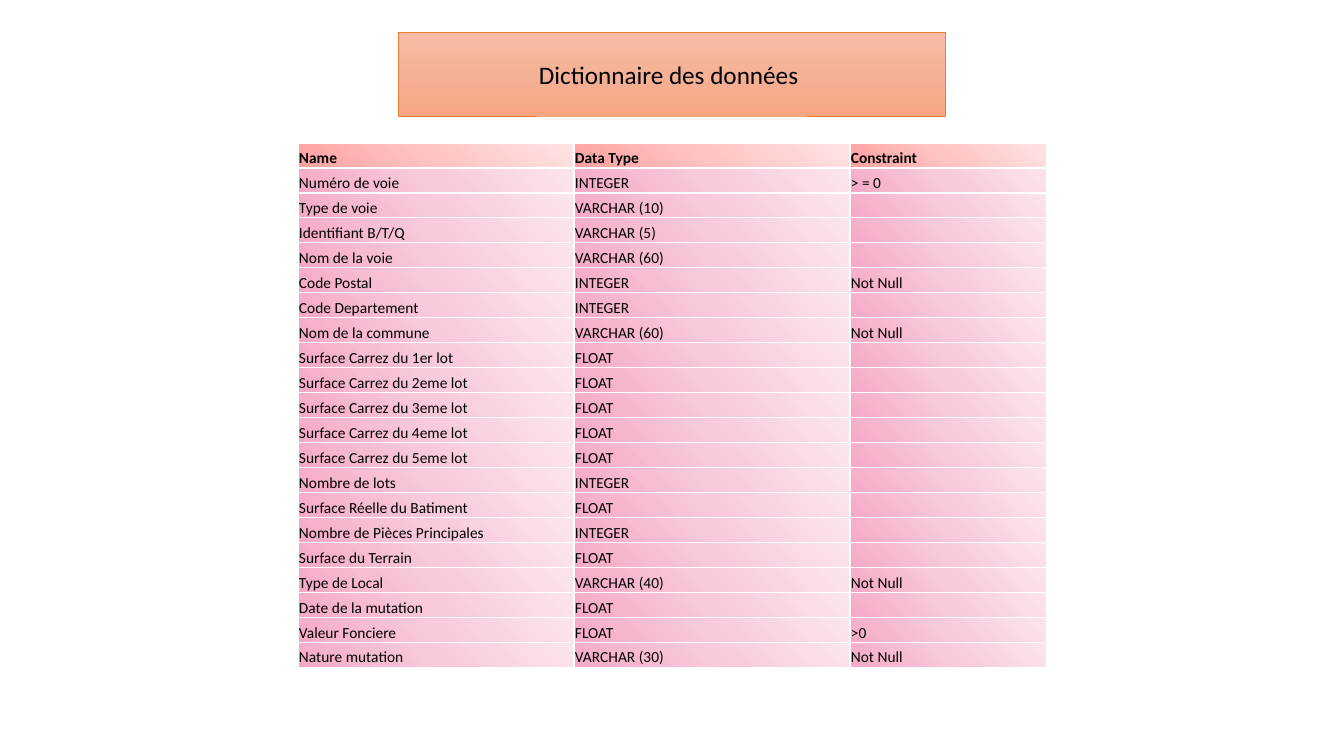
from lxml.etree import SubElement
from pptx import Presentation
from pptx.dml.color import RGBColor
from pptx.enum.text import MSO_ANCHOR, MSO_AUTO_SIZE, PP_ALIGN
from pptx.oxml.ns import qn
from pptx.util import Emu, Pt

HEAD = ("Name", "Data Type", "Constraint")
FIELDS = [
    ("Numéro de voie", "INTEGER", "> = 0"),
    ("Type de voie", "VARCHAR (10)", ""),
    ("Identifiant B/T/Q", "VARCHAR (5)", ""),
    ("Nom de la voie", "VARCHAR (60)", ""),
    ("Code Postal", "INTEGER", "Not Null"),
    ("Code Departement", "INTEGER", ""),
    ("Nom de la commune", "VARCHAR (60)", "Not Null"),
    ("Surface Carrez du 1er lot", "FLOAT", ""),
    ("Surface Carrez du 2eme lot", "FLOAT", ""),
    ("Surface Carrez du 3eme lot", "FLOAT", ""),
    ("Surface Carrez du 4eme lot", "FLOAT", ""),
    ("Surface Carrez du 5eme lot", "FLOAT", ""),
    ("Nombre de lots", "INTEGER", ""),
    ("Surface Réelle du Batiment", "FLOAT", ""),
    ("Nombre de Pièces Principales", "INTEGER", ""),
    ("Surface du Terrain", "FLOAT", ""),
    ("Type de Local", "VARCHAR (40)", "Not Null"),
    ("Date de la mutation", "FLOAT", ""),
    ("Valeur Fonciere", "FLOAT", ">0"),
    ("Nature mutation", "VARCHAR (30)", "Not Null"),
]
ORANGE = ("F7BDA5", "F5B196", "F8A582")
CORAL = ("FFA0A0", "FFC5C5", "FFE3E3")
PINK = ("F5A9C8", "F8CADC", "FBE5ED")


def px(n):
    """Turn slide pixels into EMU."""
    return Emu(round(n * 914400 / 100.8))


def color(code):
    """Turn a hex string into a colour."""
    return RGBColor.from_string(code)


class Deck:
    """Holds the style and the current slide."""

    font = "Calibri"
    ink = "000000"
    rule = "FFFFFF"

    def __init__(self):
        """Open a wide deck with one title-only slide."""
        self.prs = Presentation()
        self.prs.slide_width, self.prs.slide_height = px(1344), px(756)
        self.slide = self.prs.slides.add_slide(self.prs.slide_layouts[5])

    def blend(self, node, shades, angle):
        """Add an evenly spaced gradient fill to a properties node."""
        grad = SubElement(node, qn("a:gradFill"), rotWithShape="1")
        stops = SubElement(grad, qn("a:gsLst"))
        for i, shade in enumerate(shades):
            stop = SubElement(stops, qn("a:gs"), pos=str(i * 50000))
            SubElement(stop, qn("a:srgbClr"), val=shade)
        SubElement(grad, qn("a:lin"), ang=str(angle * 60000), scaled="0")

    def label(self, frame, text, size, bold=False):
        """Set the text of a frame and format its runs."""
        frame.text = text
        para = frame.paragraphs[0]
        for run in para.runs:
            run.font.name, run.font.size, run.font.bold = self.font, Pt(size), bold
            run.font.color.rgb = color(self.ink)
        if not text:
            SubElement(para._p, qn("a:endParaRPr"), sz=str(size * 100))
        return para

    def title(self, text, box, shades, edge):
        """Place the title as a framed gradient bar."""
        bar = self.slide.shapes.title
        bar.left, bar.top, bar.width, bar.height = map(px, box)
        self.blend(bar._element.spPr, shades, 90)
        bar.line.color.rgb = color(edge)
        bar.line.width = Pt(0.5)
        frame = bar.text_frame
        self.label(frame, text, 18).alignment = PP_ALIGN.CENTER
        frame.vertical_anchor = MSO_ANCHOR.MIDDLE
        frame.word_wrap = True
        frame.auto_size = MSO_AUTO_SIZE.SHAPE_TO_FIT_TEXT

    def cell(self, cell, text, shades, bold):
        """Fill, rule and label one table cell."""
        cell.margin_left = cell.margin_right = cell.margin_top = px(1)
        cell.margin_bottom = 0
        cell.vertical_anchor = MSO_ANCHOR.BOTTOM
        props = cell._tc.get_or_add_tcPr()
        for side in "LRTB":
            line = SubElement(props, qn("a:ln" + side), w=str(Pt(1)))
            solid = SubElement(line, qn("a:solidFill"))
            SubElement(solid, qn("a:srgbClr"), val=self.rule)
        self.blend(props, shades, 315)
        self.label(cell.text_frame, text, 11, bold)

    def table(self, rows, left, top, widths, high):
        """Add a table whose first row is the header."""
        frame = self.slide.shapes.add_table(
            len(rows), len(widths), px(left), px(top),
            px(sum(widths)), px(high * len(rows)))
        grid = frame.table
        grid.horz_banding = False
        for col, width in zip(grid.columns, widths):
            col.width = px(width)
        for r, row in enumerate(rows):
            grid.rows[r].height = px(high)
            for c, text in enumerate(row):
                shades = PINK if r else CORAL
                self.cell(grid.cell(r, c), text, shades, r == 0)


def main():
    """Build and save the slide."""
    deck = Deck()
    deck.title("Dictionnaire des données ", (398, 54, 547, 40), ORANGE, "ED7D31")
    deck.table([HEAD] + FIELDS, 298, 143, (276, 276, 197), 25)
    deck.prs.save("out.pptx")


if __name__ == "__main__":
    main()
